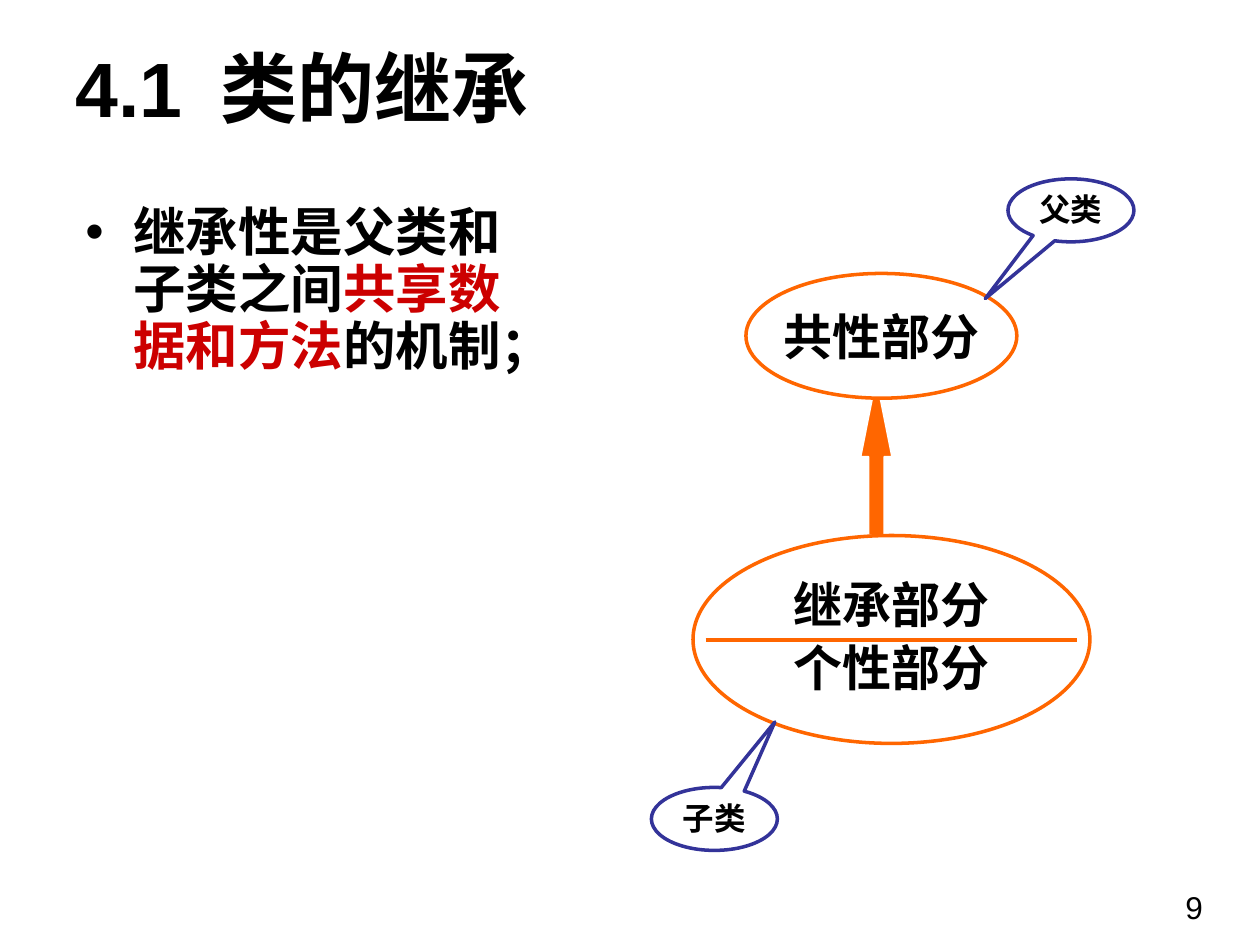
from lxml import etree
from pptx import Presentation
from pptx.dml.color import RGBColor
from pptx.enum import shapes, text
from pptx.oxml.ns import qn
from pptx.util import Inches, Pt

BLACK = RGBColor(0, 0, 0)
WHITE = RGBColor(255, 255, 255)
RED = RGBColor(0xCC, 0, 0)
ORANGE = RGBColor(0xFF, 0x66, 0)
BLUE = RGBColor(0x33, 0x33, 0x99)

KIND = shapes.MSO_SHAPE
LEFT, CENTER = text.PP_ALIGN.LEFT, text.PP_ALIGN.CENTER
TOP, MIDDLE = text.MSO_ANCHOR.TOP, text.MSO_ANCHOR.MIDDLE

# Each paragraph is a list of (words, colour) runs.
TITLE = [[("4.1", BLACK), (" ", BLACK), ("类的继承", BLACK)]]
BODY = [[("继承性是父类和子类之间", BLACK), ("共享数据和方法", RED), ("的机制；", BLACK)]]
PAGE_NUMBER = [[("9", BLACK)]]

# Paragraphs, place, line spacing
CLASSES = [
    (["共性部分"], (5.92, 2.17, 2.15, 0.99), None),
    (["继承部分", "个性部分"], (5.5, 4.25, 3.15, 1.65), 0.9),
]
# Label, left, top, pointer offset as shares of the callout's size
CALLOUTS = [
    ("父类", 8, 1.42, (-0.68, 1.4)),
    ("子类", 5.17, 6.25, (0.48, -1.54)),
]
CALLOUT_SIZE = (1, 0.5)
ARROW = (6.33, 3.5, 1.25, 0.25)
DIVIDER = (5.6, 5.08, 8.55, 5.08)


def write(box, paragraphs, size, font="Arial", bold=True, align=LEFT,
          anchor=TOP, wrap=True, spacing=None):
    frame = box.text_frame
    frame.word_wrap = wrap
    frame.vertical_anchor = anchor
    for index, runs in enumerate(paragraphs):
        para = frame.add_paragraph() if index else frame.paragraphs[0]
        para.alignment = align
        if spacing:
            para.line_spacing = spacing
            para.space_before = Pt(0.2 * size)
        for words, colour in runs:
            span = para.add_run()
            span.text = words
            span.font.name = font
            span.font.size = Pt(size)
            span.font.bold = bold
            span.font.color.rgb = colour
    return frame


def add_text(page, place, paragraphs, size, **style):
    box = page.shapes.add_textbox(*map(Inches, place))
    return write(box, paragraphs, size, **style)


def add_shape(page, kind, place, fill, line, width):
    shape = page.shapes.add_shape(kind, *map(Inches, place))
    shape.shadow.inherit = False
    shape.fill.solid()
    shape.fill.fore_color.rgb = fill
    shape.line.color.rgb = line
    shape.line.width = Pt(width)
    return shape


def add_bullet(para, indent):
    props = para._p.get_or_add_pPr()
    props.set("marL", str(Inches(indent)))
    props.set("indent", str(-Inches(indent)))
    etree.SubElement(props, qn("a:buFont")).set("typeface", "Arial")
    etree.SubElement(props, qn("a:buChar")).set("char", "•")


def add_divider(page):
    line = page.shapes.add_connector(
        shapes.MSO_CONNECTOR.STRAIGHT, *map(Inches, DIVIDER))
    line.line.color.rgb = ORANGE
    line.line.width = Pt(2.25)
    etree.SubElement(line._element.spPr, qn("a:effectLst"))


def main():
    deck = Presentation()
    deck.slide_width, deck.slide_height = Inches(10), Inches(7.5)
    page = deck.slides.add_slide(deck.slide_layouts[6])

    add_text(page, (9.31, 7, 0.51, 0.4), PAGE_NUMBER, 18, bold=False, wrap=False)
    title = add_text(page, (0.5, 0.3, 8.2, 0.77), TITLE, 44, anchor=MIDDLE)
    gap = title.paragraphs[0].runs[1]
    gap.font._element.set("spc", "970")  # widens the space after the number
    body = add_text(page, (0.58, 1.59, 3.83, 5.07), BODY, 30, spacing=0.9)
    add_bullet(body.paragraphs[0], 0.38)

    arrow = add_shape(page, KIND.RIGHT_ARROW, ARROW, ORANGE, WHITE, 1)
    arrow.rotation = 270
    arrow.adjustments[0], arrow.adjustments[1] = 0.5, 2.5

    for labels, place, spacing in CLASSES:
        oval = add_shape(page, KIND.OVAL, place, WHITE, ORANGE, 2)
        write(oval, [[(label, BLACK)] for label in labels], 28, font="Vollkorn",
              align=CENTER, anchor=MIDDLE, wrap=False, spacing=spacing)
    add_divider(page)

    for label, left, top, pointer in CALLOUTS:
        callout = add_shape(page, KIND.OVAL_CALLOUT, (left, top, *CALLOUT_SIZE),
                            WHITE, BLUE, 2)
        callout.adjustments[0], callout.adjustments[1] = pointer
        write(callout, [[(label, BLACK)]], 18, align=CENTER, spacing=0.9)

    deck.save("out.pptx")


if __name__ == "__main__":
    main()
